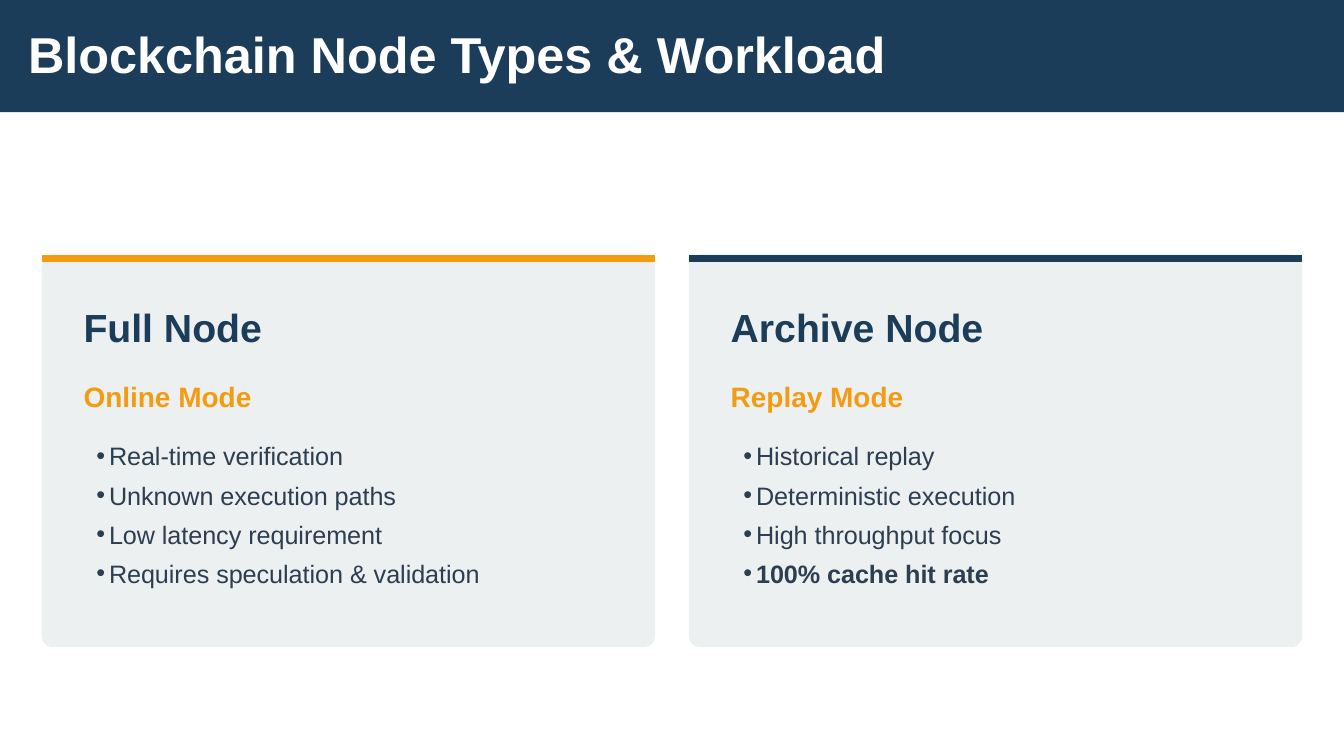
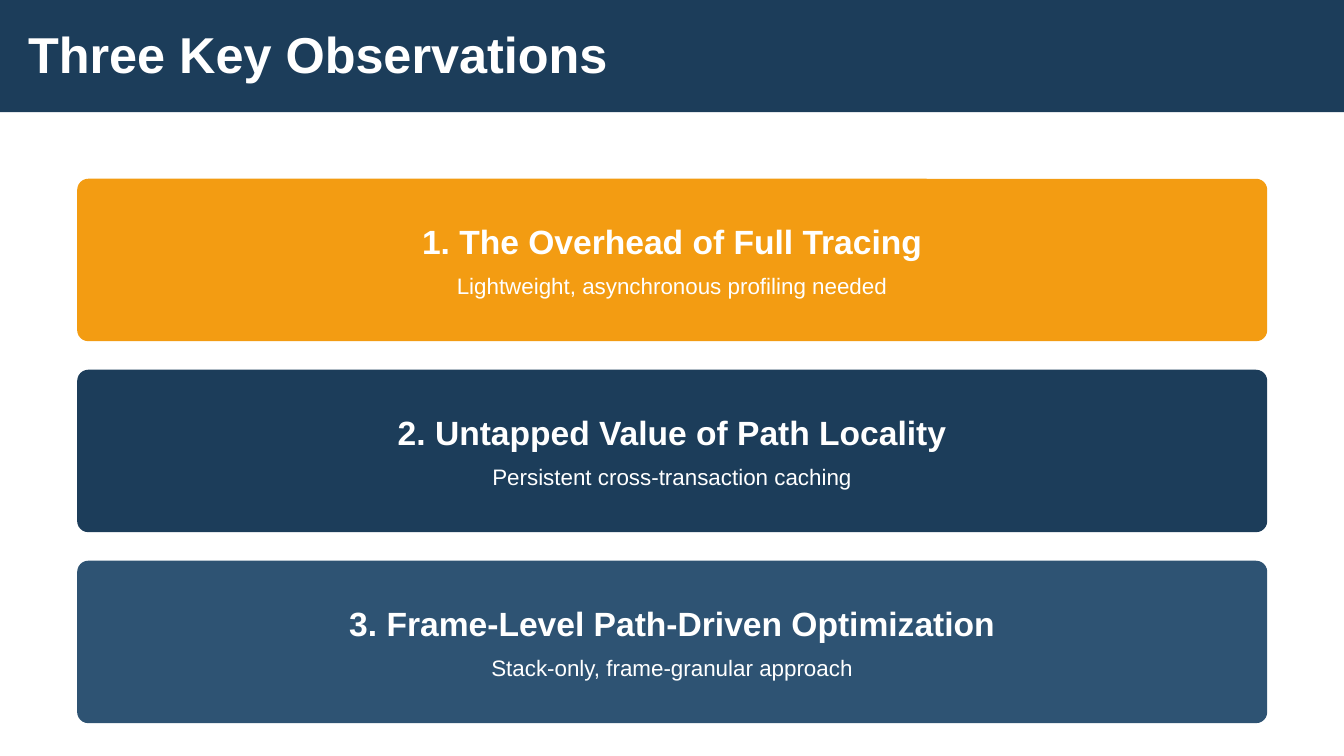
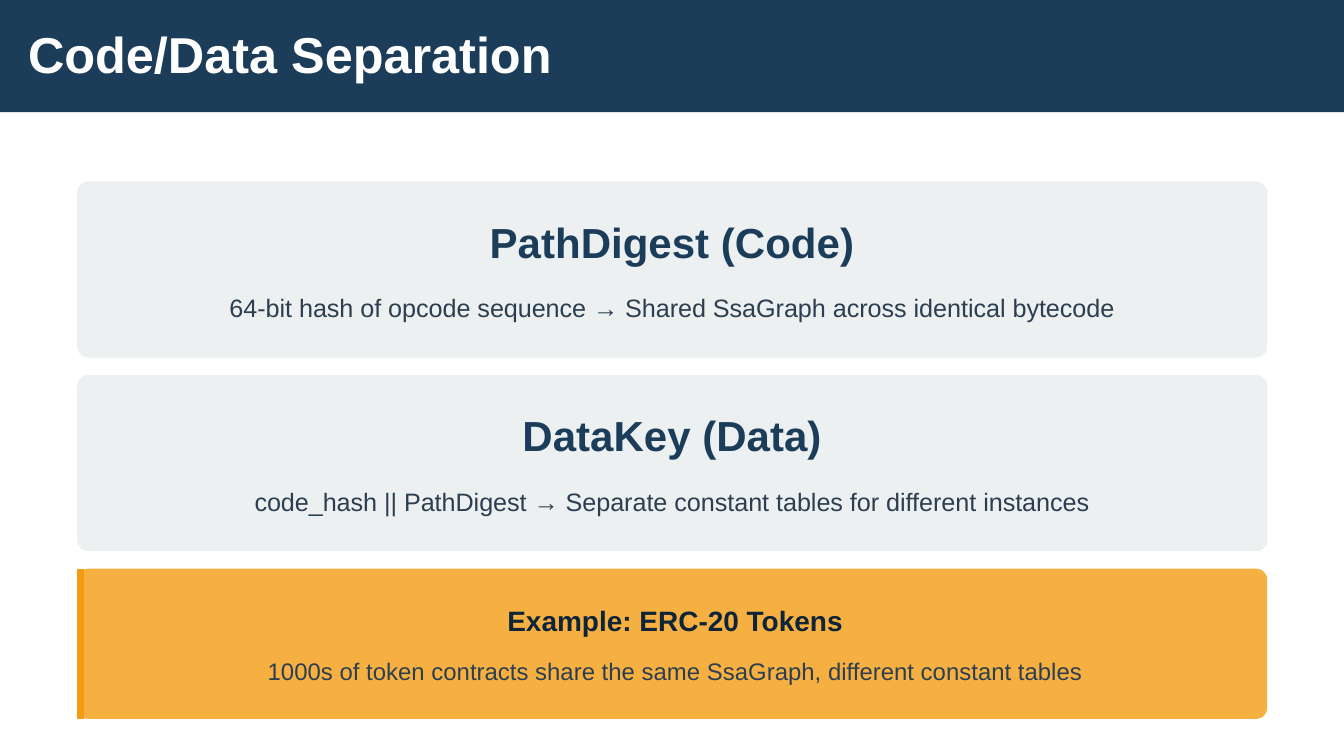
from lxml import etree
from pptx import Presentation
from pptx.dml.color import RGBColor
from pptx.enum import shapes as kinds, text as tx
from pptx.oxml import ns
from pptx.util import Cm, Pt

HUES = dict(navy="1C3D5A", steel="2E5373", dark="0F2438", ink="2C3E50",
            amber="F39C12", gold="F5B041", pale="ECF0F1", white="FFFFFF")
FONT = "Arial"
WIDE, HIGH = 25.4, 14.29
CURVE = 0.21  # corner radius of every card, cm
RULE = 3.75   # accent line, pt

NODES = [
    ("Full Node", "Online Mode", "amber",
     ["Real-time verification", "Unknown execution paths",
      "Low latency requirement", "Requires speculation & validation"]),
    ("Archive Node", "Replay Mode", "navy",
     ["Historical replay", "Deterministic execution",
      "High throughput focus", "100% cache hit rate"]),
]
STRONG = {"100% cache hit rate"}

POINTS = [
    ("1. The Overhead of Full Tracing",
     "Lightweight, asynchronous profiling needed", "amber"),
    ("2. Untapped Value of Path Locality",
     "Persistent cross-transaction caching", "navy"),
    ("3. Frame-Level Path-Driven Optimization",
     "Stack-only, frame-granular approach", "steel"),
]

PARTS = [
    ("PathDigest (Code)",
     "64-bit hash of opcode sequence → Shared SsaGraph across identical bytecode"),
    ("DataKey (Data)",
     "code_hash || PathDigest → Separate constant tables for different instances"),
]
SAMPLE = ("Example: ERC-20 Tokens",
          "1000s of token contracts share the same SsaGraph, different constant tables")

# Text styles: size, line pitch in points (None: automatic), colour, bold
TITLE = (27, 30, "white", True)
NAME = (21, 25.2, "navy", True)
MODE = (15, None, "amber", True)
ITEM = (13.5, 21, "ink", False)
POINT = (18, 21.6, "white", True)
NOTE = (12, 16.8, "white", False)
PART = (22.5, 27, "navy", True)
FACT = (13.5, 18.9, "ink", False)
CASE = (15, 18, "dark", True)
CLAIM = (12.8, 17.9, "ink", False)


def tint(hue):
    return RGBColor.from_string(HUES[hue])


def block(slide, box, hue, kind=kinds.MSO_SHAPE.ROUNDED_RECTANGLE):
    shape = slide.shapes.add_shape(kind, *map(Cm, box))
    shape.shadow.inherit = False
    shape.fill.solid()
    shape.fill.fore_color.rgb = tint(hue)
    shape.line.fill.background()
    if kind == kinds.MSO_SHAPE.ROUNDED_RECTANGLE:
        shape.adjustments[0] = CURVE / min(box[2:])


def rule(slide, ends, hue):
    line = slide.shapes.add_connector(kinds.MSO_CONNECTOR.STRAIGHT, *map(Cm, ends))
    line.line.color.rgb = tint(hue)
    line.line.width = Pt(RULE)
    etree.SubElement(line.element.spPr, ns.qn("a:effectLst"))


def bullet(para):
    props = para._p.get_or_add_pPr()
    props.set("marL", str(Cm(0.24)))
    props.set("indent", str(-Cm(0.24)))
    etree.SubElement(props, ns.qn("a:buFont"), typeface=FONT)
    etree.SubElement(props, ns.qn("a:buChar"), char="•")


def write(slide, box, lines, style, align="LEFT", holder=None, inset=0):
    """Put lines in a text box, or in a placeholder brought to the front."""
    shape = holder or slide.shapes.add_textbox(0, 0, 0, 0)
    shape.element.getparent().append(shape.element)
    shape.left, shape.top, shape.width, shape.height = map(Cm, box)
    frame = shape.text_frame
    frame.word_wrap = True
    frame.auto_size = tx.MSO_AUTO_SIZE.NONE
    frame.vertical_anchor = tx.MSO_ANCHOR.TOP
    frame.margin_left = Cm(inset)
    frame.margin_top = frame.margin_right = frame.margin_bottom = 0
    frame.text = "\n".join(lines)
    size, pitch, hue, bold = style
    for para in frame.paragraphs:
        if style is ITEM:
            bullet(para)
        para.alignment = tx.PP_ALIGN[align]
        para.space_before = Pt(0)
        if pitch:
            para.line_spacing = Pt(pitch)
        font = para.font
        font.name, font.size = FONT, Pt(size)
        font.bold = bold or para.text in STRONG
        font.color.rgb = tint(hue)


def start(deck, layout, title, width):
    """Add a slide with the title band."""
    slide = deck.slides.add_slide(deck.slide_layouts.get_by_name(layout))
    block(slide, (0, 0, WIDE, 2.12), "navy", kinds.MSO_SHAPE.RECTANGLE)
    write(slide, (0.53, 0.53, width, 1.06), [title], TITLE, holder=slide.shapes.title)
    return slide


def panel(slide, top, high, hue, pad, rows):
    """Draw a full-width card; rows hold text, style, drop and height."""
    left, wide = 1.46, 22.49
    block(slide, (left, top, wide, high), hue)
    for words, style, drop, tall in rows:
        write(slide, (left + pad, top + drop, wide - 2 * pad, tall),
              [words], style, "CENTER")


def nodes(deck):
    slide = start(deck, "Two Content", "Blockchain Node Types & Workload", 16.54)
    top, wide, high, pad = 4.81, 11.59, 7.42, 0.79
    lists = list(slide.placeholders)
    lists = [one for one in lists if one.placeholder_format.idx > 0]
    for col, (name, mode, hue, items) in enumerate(NODES):
        left = pad + col * (wide + 0.64)
        block(slide, (left, top, wide, high), "pale")
        rule(slide, (left, top + 0.07, left + wide, top + 0.07), hue)
        inner = left + pad
        write(slide, (inner, top + 0.93, 10.21, 0.9), [name], NAME)
        write(slide, (inner, top + 2.36, 10.21, 0.61), [mode], MODE)
        write(slide, (inner, top + 3.35, 10, 3.28), items, ITEM,
              holder=lists[col], inset=0.24)


def points(deck):
    slide = start(deck, "Title Only", "Three Key Observations", 12.45)
    for row, (head, note, hue) in enumerate(POINTS):
        panel(slide, 3.38 + row * 3.61, 3.07, hue, 0.58,
              [(head, POINT, 0.79, 0.76), (note, NOTE, 1.68, 0.59)])


def parts(deck):
    slide = start(deck, "Title Only", "Code/Data Separation", 12.45)
    top, step = 3.43, 3.66
    for head, fact in PARTS:
        panel(slide, top, 3.33, "pale", 0.45,
              [(head, PART, 0.66, 0.97), (fact, FACT, 2.01, 0.66)])
        top += step
    high, edge = 2.84, 0.13
    head, claim = SAMPLE
    panel(slide, top, high, "gold", 0.58, [])
    rule(slide, (1.53, top, 1.53, top + high), "amber")
    for words, style, drop in ((head, CASE, 0.66), (claim, CLAIM, 1.57)):
        write(slide, (1.9 + edge, top + drop, 21.46, 0.64), [words], style, "CENTER")


def main():
    deck = Presentation()
    deck.slide_width, deck.slide_height = Cm(WIDE), Cm(HIGH)
    for build in (nodes, points, parts):
        build(deck)
    deck.save("out.pptx")


if __name__ == "__main__":
    main()
